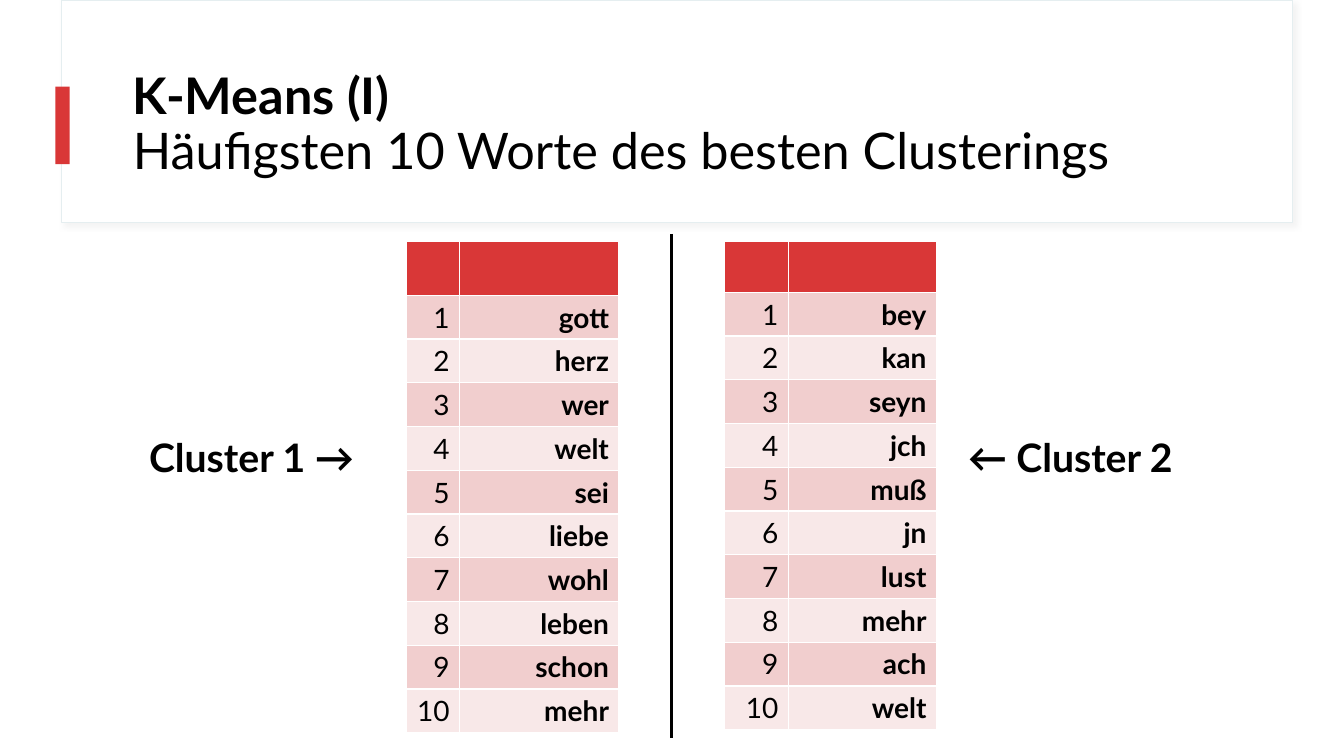
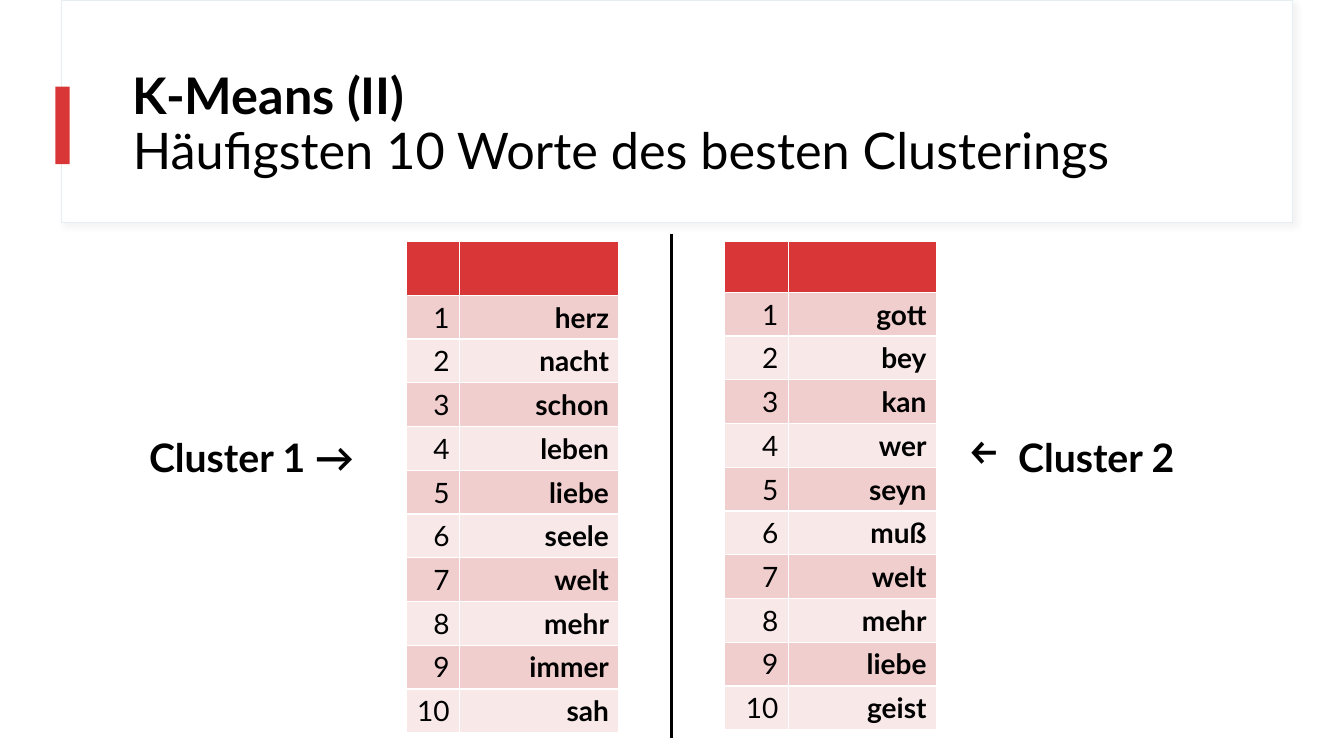
from lxml.etree import SubElement
from pptx import Presentation
from pptx.dml.color import RGBColor
from pptx.enum.shapes import MSO_CONNECTOR, MSO_SHAPE
from pptx.enum.text import MSO_ANCHOR, PP_ALIGN
from pptx.oxml.ns import qn
from pptx.util import Inches, Pt

HUES = {"ink": "000000", "paper": "FFFFFF", "red": "D93737", "edge": "E5EEF0",
        "shade": "D9D9D9", "dark": "F1CECE", "light": "F8E8E8"}
TITLE = {"name": "Lato", "size": Pt(36), "bold": True}
LABEL = {"name": "Lato", "size": Pt(28), "bold": True}
RANK = {"name": "Lato", "size": Pt(20), "bold": False}
WORD = {**RANK, "bold": True}
ROW = 0.43

SLIDES = [
    ("K-Means (I)",
     "gott herz wer welt sei liebe wohl leben schon mehr",
     "bey kan seyn jch muß jn lust mehr ach welt", False),
    ("K-Means (II)",
     "herz nacht schon leben liebe seele welt mehr immer sah",
     "gott bey kan wer seyn muß welt mehr liebe geist", True),
]


def hue(key):
    return RGBColor.from_string(HUES[key])


def paint(item, key):
    item.fill.solid()
    item.fill.fore_color.rgb = hue(key)


def write(para, text, form):
    run = para.add_run()
    run.text = text
    for name, value in form.items():
        setattr(run.font, name, value)
    run.font.color.rgb = hue("ink")


def add_text(slide, box, anchor=MSO_ANCHOR.TOP):
    frame = slide.shapes.add_textbox(*map(Inches, box)).text_frame
    frame.word_wrap = True
    frame.vertical_anchor = anchor
    return frame.paragraphs[0]


def add_rect(slide, box, key):
    rect = slide.shapes.add_shape(MSO_SHAPE.RECTANGLE, *map(Inches, box))
    rect.shadow.inherit = False
    paint(rect, key)
    rect.line.fill.background()
    return rect


def add_shade(rect):
    effects = rect._element.spPr.find(qn("a:effectLst"))
    shade = SubElement(effects, qn("a:outerShdw"), blurRad=str(Pt(4)),
                       dist=str(Pt(3)), dir=str(45 * 60000), rotWithShape="0")
    color = SubElement(shade, qn("a:srgbClr"), val=HUES["shade"])
    SubElement(color, qn("a:alpha"), val="30000")


def add_head(slide, box, title):
    left, top, width, height = box
    band = add_rect(slide, box, "paper")
    band.line.color.rgb = hue("edge")
    band.line.width = Pt(0.75)
    add_shade(band)
    add_rect(slide, (left - 0.06, top + 0.86, 0.14, 0.77), "red")
    para = add_text(slide, (left + 0.61, top + 0.6, width - 1.09, 1.29),
                    MSO_ANCHOR.MIDDLE)
    para.line_spacing = 0.9
    write(para, title, TITLE)
    para.add_line_break()
    write(para, "Häufigsten 10 Worte des besten Clusterings",
          {**TITLE, "bold": False})


def add_words(slide, box, words, head, rank):
    left, top, width = box
    rows = len(words) + 1
    table = slide.shapes.add_table(
        rows, 2, Inches(left), Inches(top), Inches(width),
        Inches(head + ROW * len(words))).table
    for col, size in zip(table.columns, (rank, width - rank)):
        col.width = Inches(size)
    for num, row in enumerate(table.rows):
        row.height = Inches(ROW if num else head)
        key = ("light", "dark")[num % 2] if num else "red"
        for cell in row.cells:
            paint(cell, key)
            cell.vertical_anchor = MSO_ANCHOR.MIDDLE
        if num:
            for cell, text, form in zip(row.cells, (str(num), words[num - 1]),
                                        (RANK, WORD)):
                para = cell.text_frame.paragraphs[0]
                para.alignment = PP_ALIGN.RIGHT
                write(para, text, form)


def add_arrow(para):
    props = para._p.get_or_add_pPr()
    props.set("marL", str(Inches(0.5)))
    props.set("indent", str(-Inches(0.5)))
    SubElement(props, qn("a:buFont"), typeface="OpenSymbol")
    SubElement(props, qn("a:buChar"), char="←")


def add_body(slide, box, first, second, bullet):
    left, top, width, height = box
    mid = left + width / 2
    add_words(slide, (mid - 2.63, top + 0.07, 2.11), first, 0.54, 0.53)
    add_words(slide, (mid + 0.52, top + 0.07, 2.11), second, 0.51, 0.64)
    write(add_text(slide, (left, top + 1.93, 2.49, 0.57)),
          "Cluster 1 →", LABEL)
    para = add_text(slide, (mid + 2.84, top + 1.93, 2.49, 0.57))
    if bullet:
        add_arrow(para)
    write(para, "Cluster 2" if bullet else "← Cluster 2", LABEL)
    line = slide.shapes.add_connector(
        MSO_CONNECTOR.STRAIGHT, Inches(mid), Inches(top),
        Inches(mid), Inches(top + height))
    line.line.color.rgb = hue("ink")
    line.line.width = Pt(1.5)
    SubElement(line._element.spPr, qn("a:effectLst"))


def main():
    deck = Presentation()
    deck.slide_width, deck.slide_height = Inches(13.33), Inches(7.5)
    for title, first, second, bullet in SLIDES:
        slide = deck.slides.add_slide(deck.slide_layouts[6])
        add_head(slide, (0.61, 0, 12.21, 2.21), title)
        add_body(slide, (1.38, 2.32, 10.56, 5), first.split(),
                 second.split(), bullet)
    deck.save("out.pptx")


if __name__ == "__main__":
    main()
